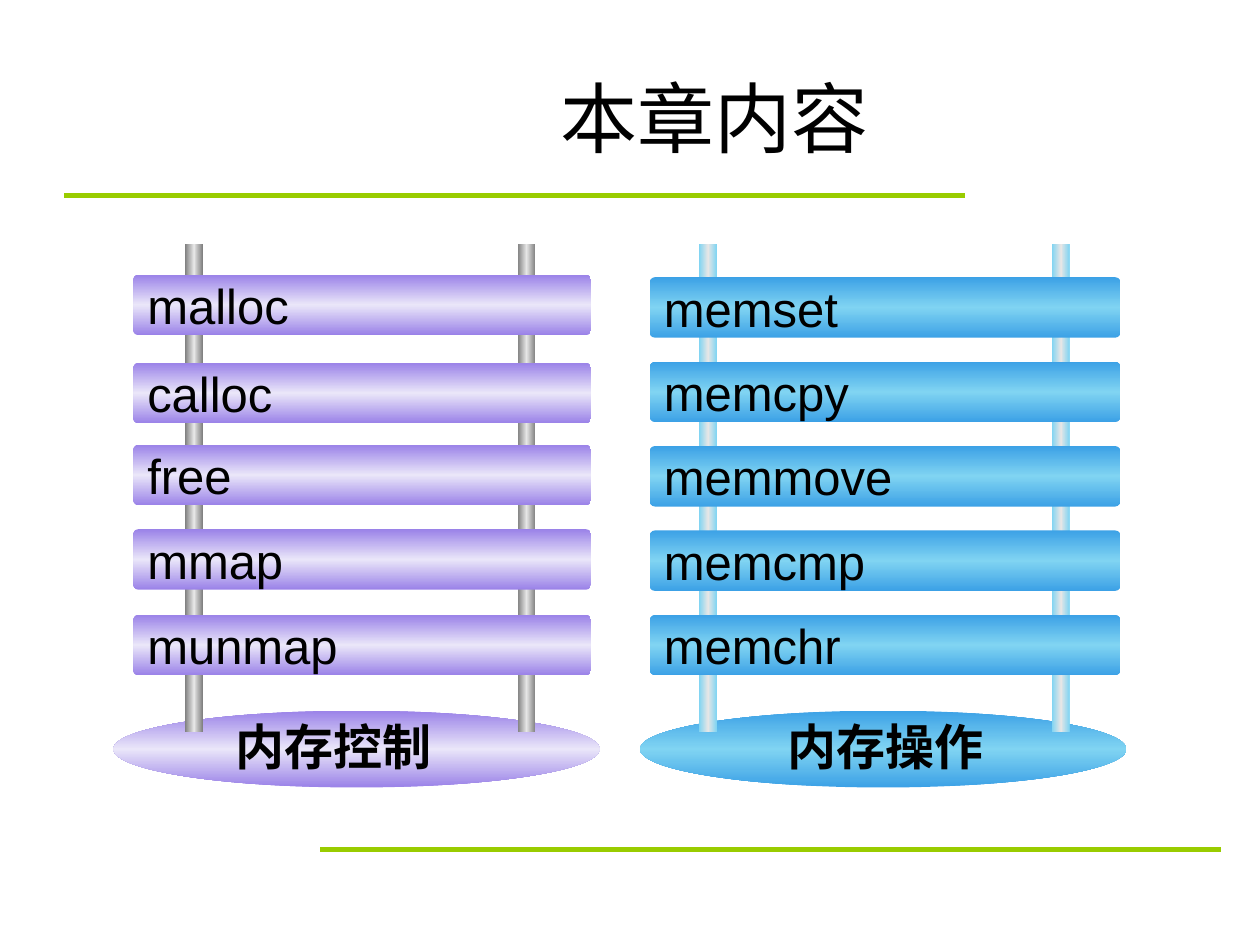
from copy import deepcopy

from lxml import etree
from pptx import Presentation
from pptx.dml.color import RGBColor
from pptx.enum.shapes import MSO_CONNECTOR, MSO_SHAPE
from pptx.enum.text import MSO_ANCHOR, PP_ALIGN
from pptx.oxml.ns import qn
from pptx.util import Inches, Pt

STRAIGHT = MSO_CONNECTOR.STRAIGHT
OVAL, RECT, ROUND = MSO_SHAPE.OVAL, MSO_SHAPE.RECTANGLE, MSO_SHAPE.ROUNDED_RECTANGLE
MIDDLE, TOP = MSO_ANCHOR.MIDDLE, MSO_ANCHOR.TOP
LEFT, CENTER = PP_ALIGN.LEFT, PP_ALIGN.CENTER

BLACK = RGBColor(0x00, 0x00, 0x00)
GREEN = RGBColor(0x99, 0xCC, 0x00)
PURPLE = RGBColor(0x9A, 0x82, 0xE8)
LILAC = RGBColor(0xEA, 0xE6, 0xF9)
BLUE = RGBColor(0x3C, 0xA1, 0xE6)
SKY = RGBColor(0x80, 0xD4, 0xF2)
GRAY = RGBColor(0x80, 0x80, 0x80)
SILVER = RGBColor(0xE6, 0xE6, 0xE6)


class Board:
    font = "Arial"
    size = 28

    def __init__(self, slide):
        self.slide = slide
        self.shapes = slide.shapes

    def letter(self, frame, text, anchor, align=LEFT, size=size, bold=False):
        frame.word_wrap = True
        frame.vertical_anchor = anchor
        para = frame.paragraphs[0]
        para.text = text
        para.alignment = align
        font = para.font
        font.name, font.size, font.bold = self.font, Pt(size), bold
        font.color.rgb = BLACK

    def title(self, text, *area):
        shape = self.shapes.title
        shape.left, shape.top, shape.width, shape.height = map(Inches, area)
        self.letter(shape.text_frame, text, MIDDLE, CENTER, 44)

    def rule(self, left, right, y):
        line = self.shapes.add_connector(
            STRAIGHT, Inches(left), Inches(y), Inches(right), Inches(y))
        line.line.color.rgb = GREEN
        line.line.width = Pt(3)
        etree.SubElement(line.element.spPr, qn("a:effectLst"))

    def solid(self, kind, area, edge, core, angle=90):
        shape = self.shapes.add_shape(kind, *map(Inches, area))
        shape.shadow.inherit = False
        shape.line.fill.background()
        fill = shape.fill
        fill.gradient()
        fill.gradient_angle = angle
        stops = shape.element.spPr.find(qn("a:gradFill")).find(qn("a:gsLst"))
        stops.append(deepcopy(stops[0]))
        for stop, place, color in zip(fill.gradient_stops, (0, 0.5, 1), (edge, core, edge)):
            stop.position = place
            stop.color.rgb = color
        return shape

    def post(self, left, edge):
        self.solid(RECT, (left, 1.94, 0.14, 3.87), edge, SILVER, 0)

    def bar(self, text, area, edge, core):
        shape = self.solid(ROUND, area, edge, core)
        shape.adjustments[0] = 0.08
        self.letter(shape.text_frame, text, MIDDLE)

    def label(self, text, *area):
        box = self.shapes.add_textbox(*map(Inches, area))
        self.letter(box.text_frame, text, TOP, bold=True)


def main():
    deck = Presentation()
    deck.slide_width, deck.slide_height = Inches(10), Inches(7.5)
    board = Board(deck.slides.add_slide(deck.slide_layouts[5]))
    board.rule(0.51, 7.66, 1.55)
    board.rule(2.54, 9.69, 6.74)
    board.title("本章内容", 1.85, 0.3, 7.65, 1.25)

    panels = [
        ("内存控制", 1.77, 2.6, 0.9, (4.11, 1.47), GRAY, 1.06, 3.63, PURPLE, LILAC,
         ("malloc", "calloc", "free", "mmap", "munmap"),
         (2.18, 2.88, 3.53, 4.2, 4.88)),
        ("内存操作", 6.15, 2.32, 5.08, (8.35, 5.55), SKY, 5.16, 3.73, BLUE, SKY,
         ("memset", "memcpy", "memmove", "memcmp", "memchr"),
         [2.2 + 0.67 * i for i in range(5)]),
    ]
    for name, x, wide, base, posts, metal, left, width, edge, core, calls, tops in panels:
        board.solid(OVAL, (base, 5.64, 3.86, 0.61), edge, core)
        for spot in posts:
            board.post(spot, metal)
        for call, top in zip(calls, tops):
            board.bar(call, (left, top, width, 0.48), edge, core)
        board.label(name, x, 5.64, wide, 0.57)

    deck.save("out.pptx")


if __name__ == "__main__":
    main()
